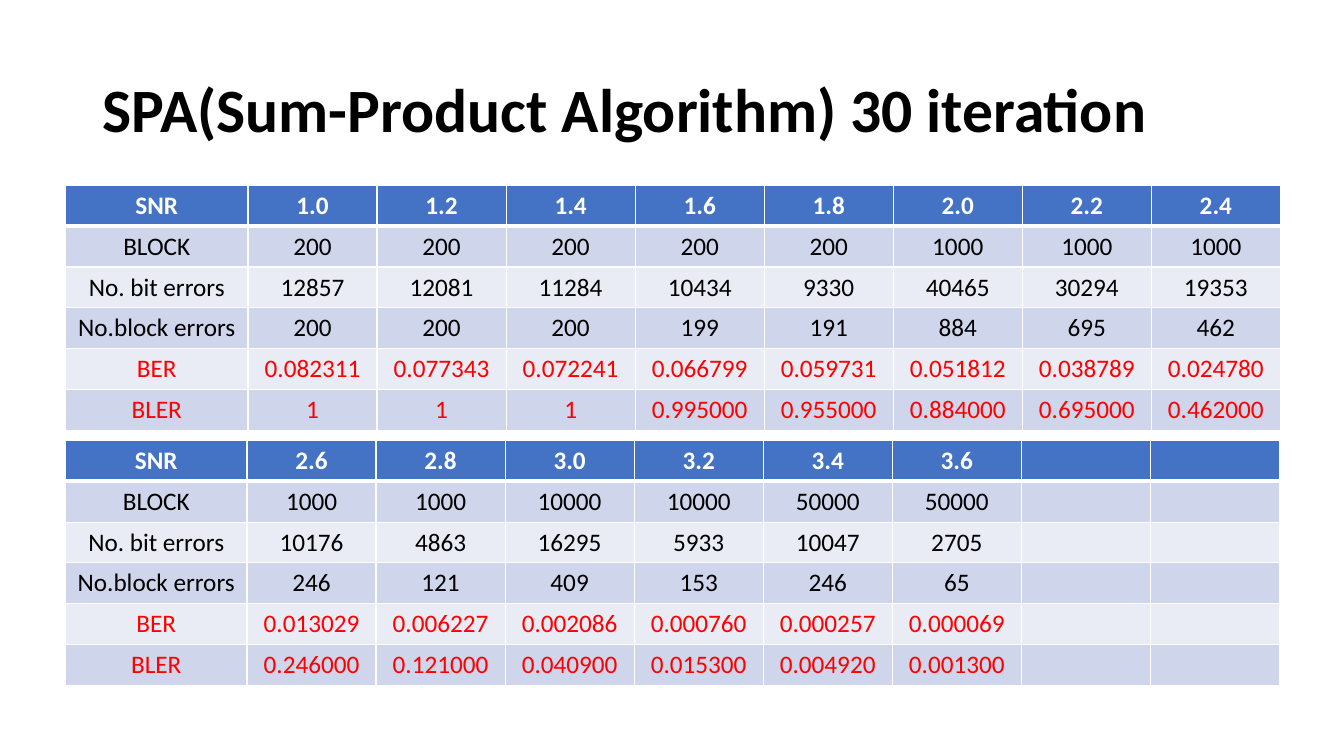
from dataclasses import dataclass

from lxml.etree import SubElement
from pptx import Presentation
from pptx.dml.color import RGBColor
from pptx.enum.text import MSO_ANCHOR, PP_ALIGN
from pptx.oxml.ns import qn
from pptx.slide import Slide
from pptx.table import _Cell
from pptx.text.text import Font
from pptx.util import Inches, Pt

WHITE, BLACK, RED = "FFFFFF", "000000", "FF0000"
BLUE, DARK, LIGHT = "4472C4", "CFD5EA", "E9EBF5"
LABELS = ["SNR", "BLOCK", "No. bit errors", "No.block errors", "BER", "BLER"]
COLS = 9


@dataclass
class Grid:
    top: float
    first: float
    rows: list[str]


GRIDS = [
    Grid(1.84, 1.81, [
        "1.0 1.2 1.4 1.6 1.8 2.0 2.2 2.4",
        "200 200 200 200 200 1000 1000 1000",
        "12857 12081 11284 10434 9330 40465 30294 19353",
        "200 200 200 199 191 884 695 462",
        "0.082311 0.077343 0.072241 0.066799 0.059731 0.051812 0.038789 0.024780",
        "1 1 1 0.995000 0.955000 0.884000 0.695000 0.462000",
    ]),
    Grid(4.37, 1.8, [
        "2.6 2.8 3.0 3.2 3.4 3.6",
        "1000 1000 10000 10000 50000 50000",
        "10176 4863 16295 5933 10047 2705",
        "246 121 409 153 246 65",
        "0.013029 0.006227 0.002086 0.000760 0.000257 0.000069",
        "0.246000 0.121000 0.040900 0.015300 0.004920 0.001300",
    ]),
]


def paint(code: str) -> RGBColor:
    return RGBColor.from_string(code)


def style(font: Font, size: int, color: str, bold: bool) -> None:
    looks = {"name": "Calibri", "size": Pt(size), "bold": bold}
    for key, value in looks.items():
        setattr(font, key, value)
    font.color.rgb = paint(color)


def edge(cell: _Cell, row: int) -> None:
    props = cell._tc.get_or_add_tcPr()
    widths = {"lnL": 1, "lnR": 1, "lnT": 3 if row == 1 else 1, "lnB": 3 if row == 0 else 1}
    for side, width in widths.items():
        line = SubElement(props, qn(f"a:{side}"), w=str(Pt(width)))
        fill = SubElement(line, qn("a:solidFill"))
        SubElement(fill, qn("a:srgbClr"), val=WHITE)


def fill_cell(cell: _Cell, row: int, text: str) -> None:
    edge(cell, row)
    cell.fill.solid()
    cell.fill.fore_color.rgb = paint(BLUE if row == 0 else DARK if row % 2 else LIGHT)
    para = cell.text_frame.paragraphs[0]
    para.alignment = PP_ALIGN.CENTER
    if text:
        run = para.add_run()
        run.text = text
        color = WHITE if row == 0 else RED if row > 3 else BLACK
        style(run.font, 18, color, row == 0)


def draw_grid(slide: Slide, grid: Grid) -> None:
    width = grid.first + 1.28 * (COLS - 1)
    frame = slide.shapes.add_table(
        len(LABELS), COLS, Inches(0.65), Inches(grid.top), Inches(width), Inches(2.43)
    )
    table = frame.table
    for col in range(COLS):
        table.columns[col].width = Inches(1.28 if col else grid.first)
    for row, (label, data) in enumerate(zip(LABELS, grid.rows)):
        texts = [label, *data.split()]
        texts += [""] * (COLS - len(texts))
        for col, text in enumerate(texts):
            fill_cell(table.cell(row, col), row, text)


def draw_title(slide: Slide, text: str) -> None:
    box = slide.shapes.add_textbox(Inches(0.92), Inches(0.39), Inches(11.5), Inches(1.45))
    frame = box.text_frame
    looks = {"word_wrap": True, "vertical_anchor": MSO_ANCHOR.MIDDLE}
    for key, value in looks.items():
        setattr(frame, key, value)
    para = frame.paragraphs[0]
    para.line_spacing = 0.9
    run = para.add_run()
    run.text = text
    style(run.font, 44, BLACK, True)


def main() -> None:
    deck = Presentation()
    deck.slide_width, deck.slide_height = Inches(13.33), Inches(7.5)
    slide = deck.slides.add_slide(deck.slide_layouts[6])
    draw_title(slide, "SPA(Sum-Product Algorithm) 30 iteration")
    for grid in GRIDS:
        draw_grid(slide, grid)
    deck.save("out.pptx")


if __name__ == "__main__":
    main()
